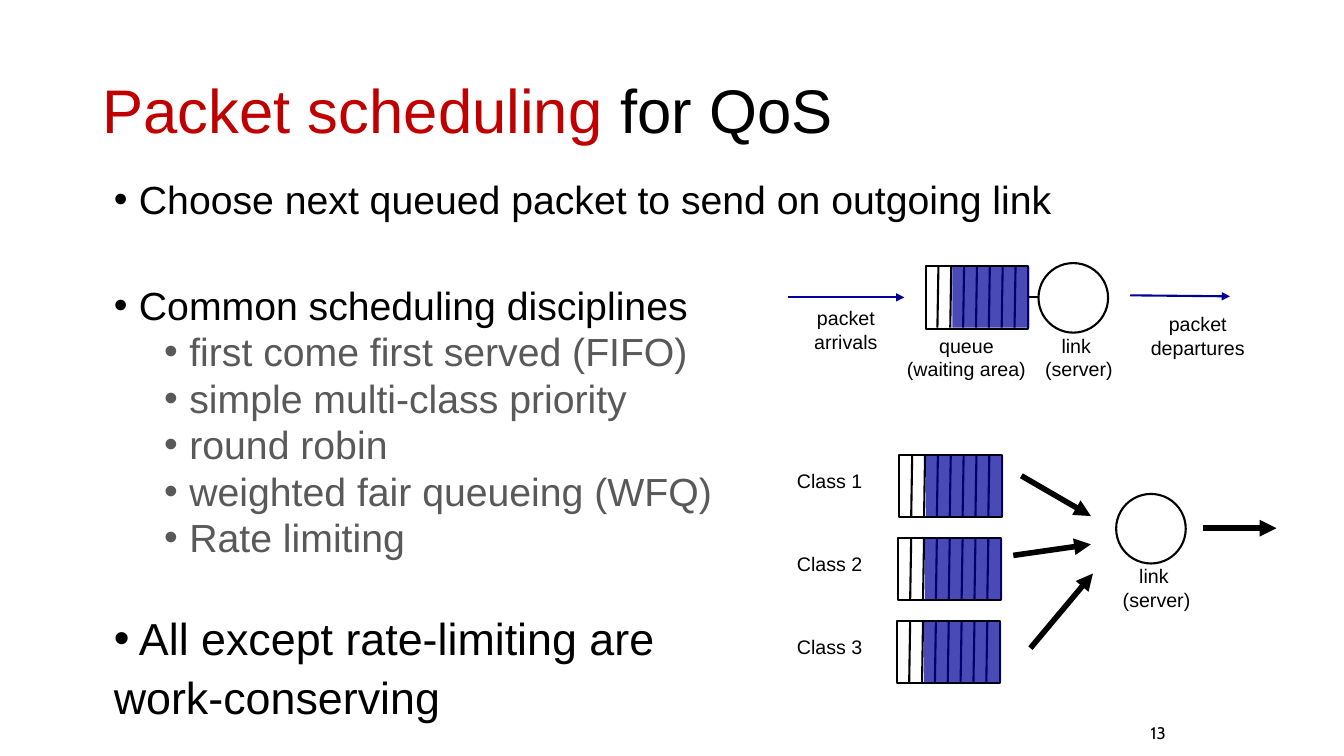
from dataclasses import dataclass

from lxml import etree
from pptx import Presentation
from pptx.dml.color import RGBColor
from pptx.enum.shapes import MSO_CONNECTOR, MSO_SHAPE
from pptx.enum.text import MSO_ANCHOR, PP_ALIGN
from pptx.oxml.ns import qn
from pptx.shapes.autoshape import Shape
from pptx.shapes.shapetree import GroupShapes
from pptx.text.text import TextFrame
from pptx.util import Inches, Pt

STRAIGHT = MSO_CONNECTOR.STRAIGHT
RECTANGLE, OVAL = MSO_SHAPE.RECTANGLE, MSO_SHAPE.OVAL
CENTER, RIGHT = PP_ALIGN.CENTER, PP_ALIGN.RIGHT
MIDDLE, TOP = MSO_ANCHOR.MIDDLE, MSO_ANCHOR.TOP

COLORS = {"black": "000000", "red": "C00000", "gray": "595959", "navy": "000099"}
THIN, THICK = 1.5, 4
SERVER_SIZE = 0.69
QUEUE_WIDTH, QUEUE_HEIGHT = 1.02, 0.62
SLOT_COUNT, EMPTY_SLOTS = 8, 2


@dataclass
class BodyLine:
    text: str
    space_before: float
    size: int = 28
    color: str = "black"
    margin: float = 0.25
    bullet: bool = True


@dataclass
class Label:
    lines: tuple[str, ...]
    left: float
    top: float
    width: float
    height: float = 0.57


@dataclass
class Line:
    start: tuple[float, float]
    end: tuple[float, float]
    color: str = "black"
    width: float = THIN
    arrow: bool = True


DISCIPLINES = [
    "first come first served (FIFO)",
    "simple multi-class priority",
    "round robin",
    "weighted fair queueing (WFQ)",
    "Rate limiting",
]
BODY = [
    BodyLine("Choose next queued packet to send on outgoing link", 0),
    BodyLine("Common scheduling disciplines", 47),
    *[BodyLine(name, 5, color="gray", margin=0.75) for name in DISCIPLINES],
    BodyLine("All except rate-limiting are", 42, size=32),
    BodyLine("work-conserving", 10, size=32, margin=0, bullet=False),
]
SINGLE_QUEUE_LABELS = [
    Label(("queue", "(waiting area)"), 8.89, 3.26, 1.39),
    Label(("packet", "arrivals"), 7.97, 2.99, 0.84),
    Label(("packet", "departures"), 11.31, 3.05, 1.14),
    Label(("link", " (server)"), 10.21, 3.26, 0.93),
]
SINGLE_QUEUE_LINES = [
    Line((7.82, 2.95), (8.97, 2.95), "navy"),
    Line((11.21, 2.93), (12.2, 2.94), "navy"),
    Line((10.2, 2.95), (10.3, 2.95), arrow=False),
]
CLASS_ARROWS = [
    Line((10.13, 4.72), (10.82, 5.12), width=THICK),
    Line((10.22, 6.43), (10.84, 5.69), width=THICK),
    Line((10.05, 5.51), (10.82, 5.4), width=THICK),
    Line((11.93, 5.24), (12.66, 5.24), width=THICK),
]


def rgb(name: str) -> RGBColor:
    return RGBColor.from_string(COLORS[name])


def add_text_frame(shapes: GroupShapes, left: float, top: float, width: float,
                   height: float, anchor: MSO_ANCHOR = TOP, wrap: bool = True) -> TextFrame:
    box = shapes.add_textbox(Inches(left), Inches(top), Inches(width), Inches(height))
    frame = box.text_frame
    frame.word_wrap = wrap
    frame.vertical_anchor = anchor
    return frame


def add_label(shapes: GroupShapes, label: Label) -> None:
    frame = add_text_frame(shapes, label.left, label.top, label.width, label.height, wrap=False)
    for index, text in enumerate(label.lines):
        paragraph = frame.add_paragraph() if index else frame.paragraphs[0]
        paragraph.text = text
        paragraph.alignment = CENTER
        paragraph.font.name = "Arial"
        paragraph.font.size = Pt(14)
        paragraph.font.color.rgb = rgb("black")


def add_line(shapes: GroupShapes, line: Line) -> None:
    points = [Inches(value) for value in (*line.start, *line.end)]
    connector = shapes.add_connector(STRAIGHT, *points)
    connector.line.color.rgb = rgb(line.color)
    connector.line.width = Pt(line.width)
    if line.arrow:
        etree.SubElement(connector.line._get_or_add_ln(), qn("a:tailEnd"), type="triangle")
    etree.SubElement(connector._element.spPr, qn("a:effectLst"))


def add_outline(shapes: GroupShapes, kind: MSO_SHAPE, left: float, top: float,
                width: float, height: float) -> Shape:
    shape = shapes.add_shape(kind, Inches(left), Inches(top), Inches(width), Inches(height))
    shape.shadow.inherit = False
    shape.fill.background()
    shape.line.color.rgb = rgb("black")
    shape.line.width = Pt(THIN)
    return shape


def add_queue(shapes: GroupShapes, left: float, top: float) -> None:
    add_outline(shapes, RECTANGLE, left, top, QUEUE_WIDTH, QUEUE_HEIGHT)
    slot_width = QUEUE_WIDTH / SLOT_COUNT
    for slot in range(1, SLOT_COUNT):
        x = left + slot * slot_width
        add_line(shapes, Line((x, top), (x - 0.01, top + 0.61), arrow=False))
    offset = EMPTY_SLOTS * slot_width
    packets = add_outline(shapes, RECTANGLE, left + offset + 0.01, top + 0.01,
                          QUEUE_WIDTH - offset, 0.6)
    packets.line.fill.background()
    packets.fill.solid()
    packets.fill.fore_color.rgb = rgb("navy")
    color = packets._element.spPr.find(f"{qn('a:solidFill')}/{qn('a:srgbClr')}")
    etree.SubElement(color, qn("a:alpha"), val="71000")


def add_body(shapes: GroupShapes) -> None:
    frame = add_text_frame(shapes, 1.03, 1.77, 11.28, 5.66)
    for index, line in enumerate(BODY):
        paragraph = frame.add_paragraph() if index else frame.paragraphs[0]
        paragraph.text = line.text
        paragraph.line_spacing = 0.84
        paragraph.space_before = Pt(line.space_before)
        if line.bullet:
            properties = paragraph._p.get_or_add_pPr()
            properties.set("marL", str(Inches(line.margin)))
            properties.set("indent", str(Inches(-0.25)))
            etree.SubElement(properties, qn("a:buFont"), typeface="Arial")
            etree.SubElement(properties, qn("a:buChar"), char="•")
        paragraph.font.name = "Arial"
        paragraph.font.size = Pt(line.size)
        paragraph.font.color.rgb = rgb(line.color)


def add_title(shapes: GroupShapes) -> None:
    paragraph = add_text_frame(shapes, 0.92, 0.4, 11.5, 1.45, MIDDLE).paragraphs[0]
    paragraph.line_spacing = 0.9
    paragraph.font.name = "Arial"
    paragraph.font.size = Pt(44)
    for text, color in (("Packet scheduling ", "red"), ("for QoS", "black")):
        run = paragraph.add_run()
        run.text = text
        run.font.color.rgb = rgb(color)


def add_slide_number(shapes: GroupShapes) -> None:
    paragraph = add_text_frame(shapes, 10.91, 7.12, 0.75, 0.3, MIDDLE).paragraphs[0]
    paragraph.text = "13"
    paragraph.alignment = RIGHT
    paragraph.font.name = "Cabin"
    paragraph.font.size = Pt(12)
    paragraph.font.color.rgb = rgb("black")


def add_single_queue_diagram(shapes: GroupShapes) -> None:
    add_queue(shapes, 9.18, 2.64)
    add_outline(shapes, OVAL, 10.3, 2.61, SERVER_SIZE, SERVER_SIZE)
    for line in SINGLE_QUEUE_LINES:
        add_line(shapes, line)
    for label in SINGLE_QUEUE_LABELS:
        add_label(shapes, label)


def add_class_diagram(shapes: GroupShapes) -> None:
    for index in range(3):
        top = 4.51 + 0.825 * index
        add_queue(shapes, 8.92 - 0.01 * index, top)
        add_label(shapes, Label((f"Class {index + 1}",), 7.8, top + 0.09, 0.86, 0.34))
    add_outline(shapes, OVAL, 11.07, 4.9, SERVER_SIZE, SERVER_SIZE)
    add_label(shapes, Label(("link", " (server)"), 10.98, 5.55, 0.93))
    for arrow in CLASS_ARROWS:
        add_line(shapes, arrow)


def main() -> None:
    presentation = Presentation()
    presentation.slide_width, presentation.slide_height = Inches(13.33), Inches(7.5)
    slide = presentation.slides.add_slide(presentation.slide_layouts[6])
    add_body(slide.shapes)
    add_single_queue_diagram(slide.shapes.add_group_shape().shapes)
    add_slide_number(slide.shapes)
    add_title(slide.shapes)
    add_class_diagram(slide.shapes.add_group_shape().shapes)
    presentation.save("out.pptx")


if __name__ == "__main__":
    main()
